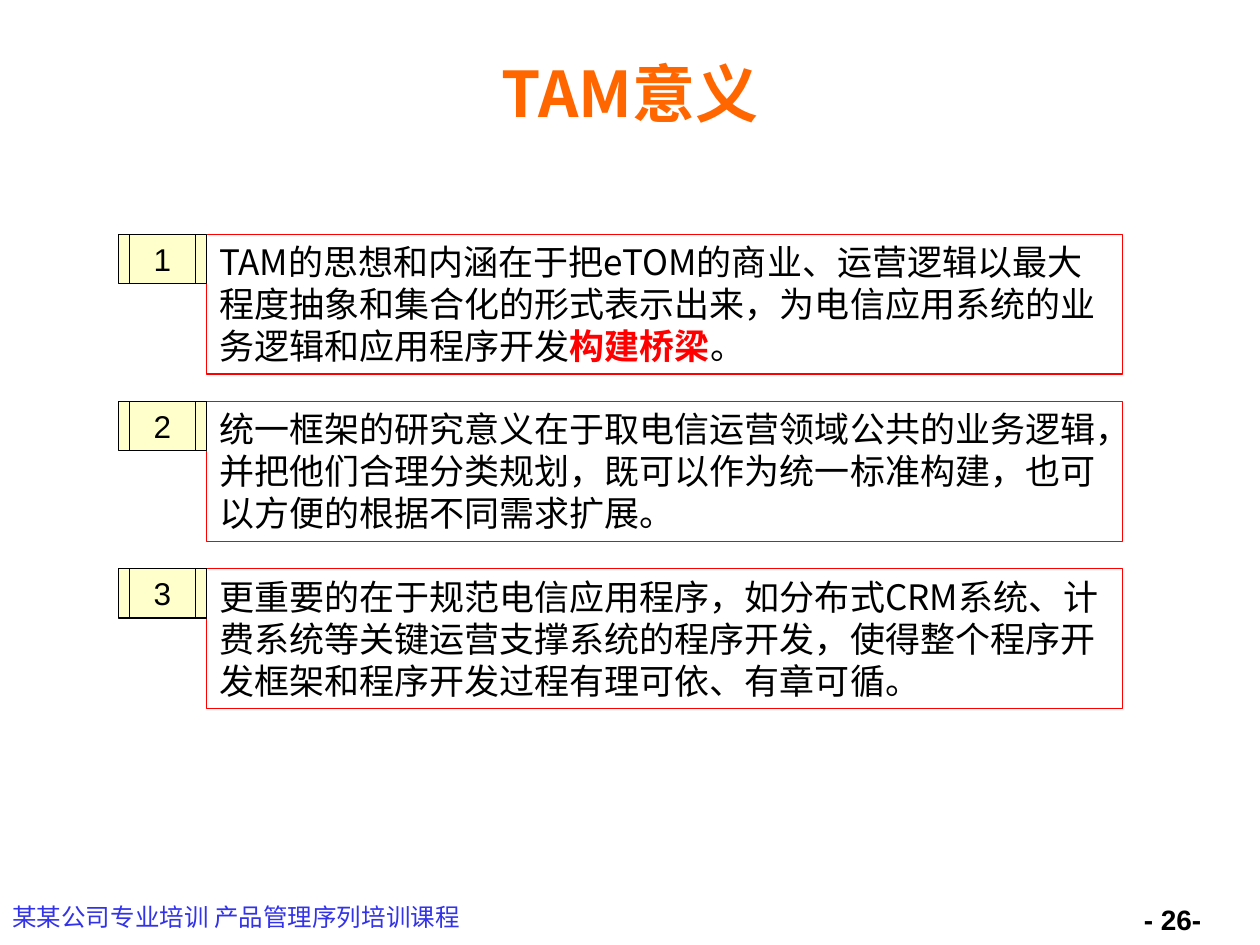
from lxml.etree import SubElement
from pptx import Presentation
from pptx.dml.color import RGBColor
from pptx.enum.shapes import MSO_SHAPE as Preset
from pptx.enum.text import MSO_ANCHOR as Anchor, MSO_AUTO_SIZE as Fit, PP_ALIGN as Align
from pptx.oxml.ns import qn
from pptx.util import Inches, Pt

WIDTH, HEIGHT = Inches(10), Inches(7.5)
COLUMNS, ROWS = 100, 75
CJK, LATIN = "Noto Sans CJK SC", "Arial"
BLACK, RED, ORANGE, BLUE, CREAM = "000000", "FF0000", "FF6600", "3232EA", "FFFFCC"
FIRST_ROW, ROW_STEP = 18.6, 13.27

POINTS = [
    [("TAM的思想和内涵在于把eTOM的商业、运营逻辑以最大程度抽象和集合化的形式表示出来，"
      "为电信应用系统的业务逻辑和应用程序开发", BLACK, False),
     ("构建桥梁", RED, True),
     ("。", BLACK, False)],
    [("统一框架的研究意义在于取电信运营领域公共的业务逻辑，并把他们合理分类规划，"
      "既可以作为统一标准构建，也可以方便的根据不同需求扩展。", BLACK, False)],
    [("更重要的在于规范电信应用程序，如分布式CRM系统、计费系统等关键运营支撑系统的程序开发，"
      "使得整个程序开发框架和程序开发过程有理可依、有章可循。", BLACK, False)],
]


def color(code):
    """Turn a hex string into a colour."""
    return RGBColor.from_string(code)


def place(column, row, columns, rows):
    """Turn grid units into left, top, width and height."""
    return (int(WIDTH * column / COLUMNS), int(HEIGHT * row / ROWS),
            int(WIDTH * columns / COLUMNS), int(HEIGHT * rows / ROWS))


def apply(target, values):
    """Set each attribute named in a dict."""
    for name, value in values.items():
        setattr(target, name, value)


def write(holder, runs, size, face, align=Align.LEFT, **frame_format):
    """Write (text, colour, bold) runs as the one paragraph of a shape."""
    frame = holder.text_frame
    apply(frame, {"word_wrap": True, "vertical_anchor": Anchor.TOP, **frame_format})
    paragraph = frame.paragraphs[0]
    paragraph.alignment = align
    for words, ink, bold in runs:
        run = paragraph.add_run()
        run.text = words
        apply(run.font, {"size": Pt(size), "bold": bold, "name": face})
        run.font.color.rgb = color(ink)
        SubElement(run.font._element, qn("a:ea"), typeface=face)


def add_label(slide, area, runs, size, face, **text_format):
    """Add a plain text box."""
    write(slide.shapes.add_textbox(*place(*area)), runs, size, face, **text_format)


def add_panel(slide, preset, area, outline, fill=None):
    """Add a thinly outlined shape with an optional fill."""
    panel = slide.shapes.add_shape(preset, *place(*area))
    panel.shadow.inherit = False
    panel.line.color.rgb = color(outline)
    panel.line.width = Pt(0.75)
    if fill:
        panel.fill.solid()
        panel.fill.fore_color.rgb = color(fill)
    else:
        panel.fill.background()
    return panel


def add_point(slide, number, runs):
    """Add a framed statement with its number tag."""
    row = FIRST_ROW + (number - 1) * ROW_STEP
    statement = add_panel(slide, Preset.RECTANGLE, (16.4, row, 72.7, 11.1), RED)
    write(statement, runs, 20, CJK, auto_size=Fit.SHAPE_TO_FIT_TEXT)
    tag = add_panel(slide, Preset.FLOWCHART_PREDEFINED_PROCESS,
                    (9.4, row, 7, 3.9), BLACK, CREAM)
    write(tag, [(str(number), BLACK, False)], 18, LATIN, Align.CENTER,
          word_wrap=False, vertical_anchor=Anchor.MIDDLE)


def main():
    """Build and save the slide."""
    deck = Presentation()
    apply(deck, {"slide_width": WIDTH, "slide_height": HEIGHT})
    slide = deck.slides.add_slide(deck.slide_layouts[6])
    add_label(slide, (0, 71.1, 39.8, 3.4),
              [("某某公司专业培训 产品管理序列培训课程", BLUE, False)], 14, CJK)
    add_label(slide, (5, 3, 90, 8.7), [("TAM意义", ORANGE, True)], 36, CJK,
              align=Align.CENTER, vertical_anchor=Anchor.MIDDLE)
    for number, runs in enumerate(POINTS, 1):
        add_point(slide, number, runs)
    add_label(slide, (89.8, 71.1, 7.8, 3.9), [("- 26-", BLACK, True)], 16, LATIN)
    deck.save("out.pptx")


if __name__ == "__main__":
    main()
